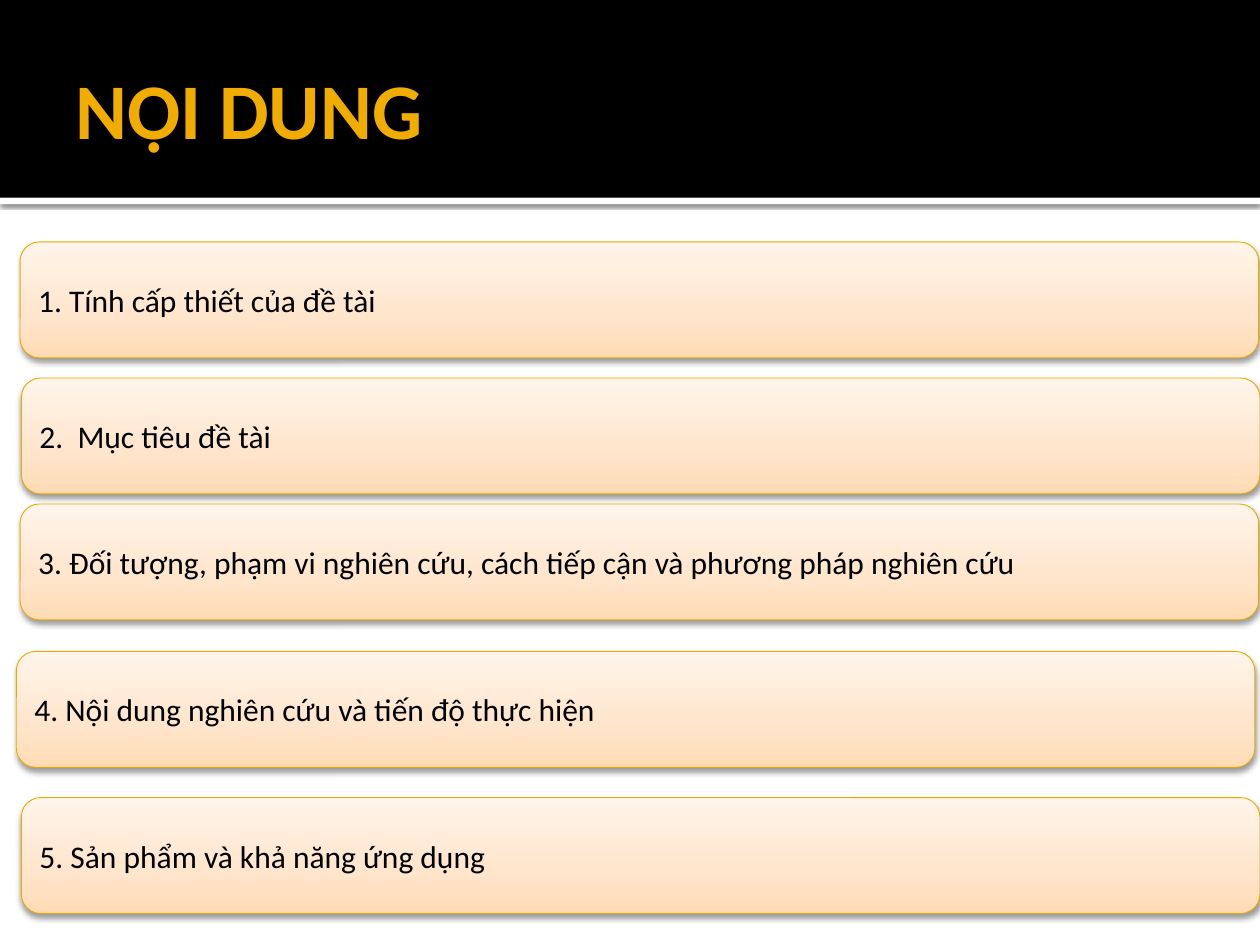
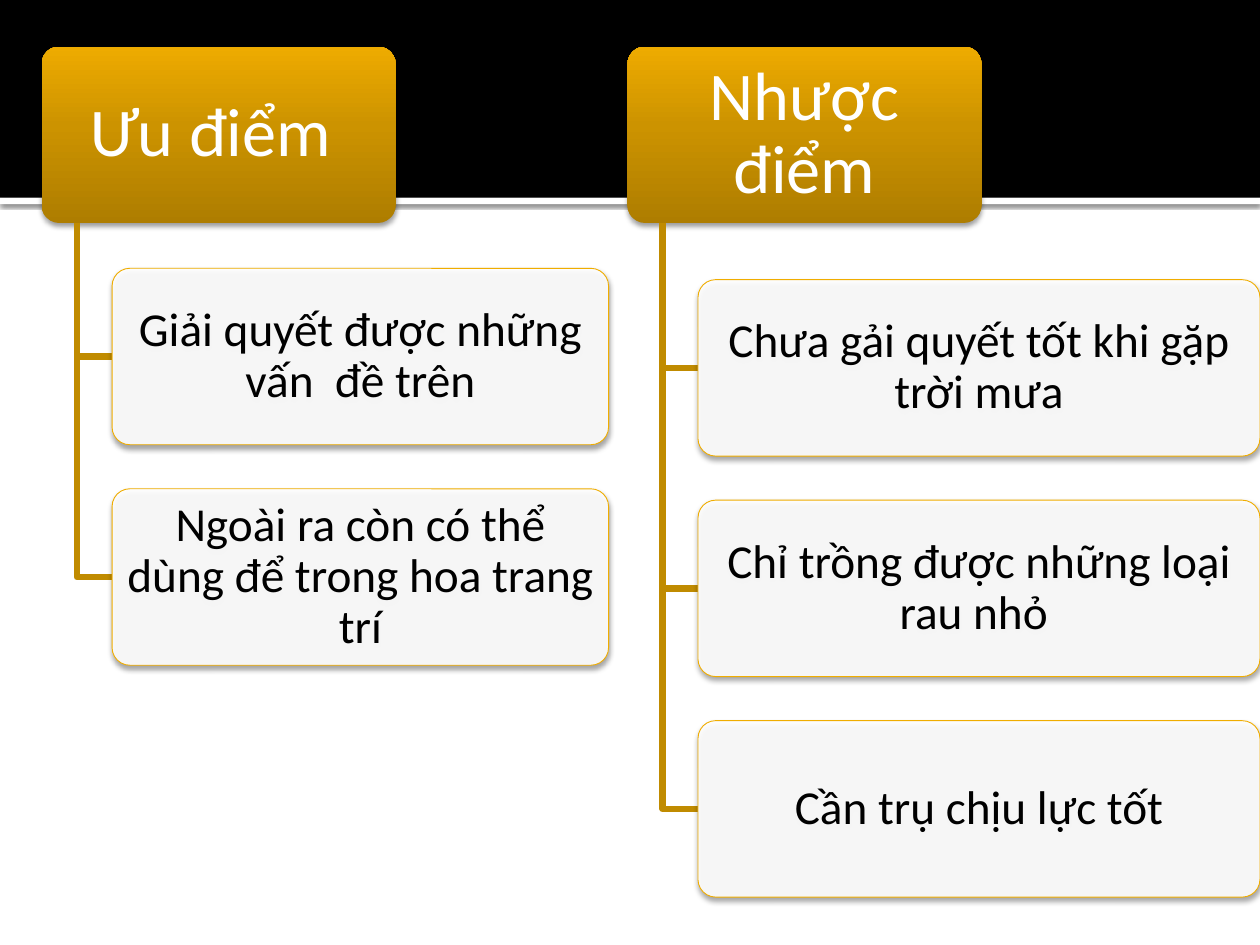
from pptx import Presentation
from pptx import util as u
from pptx.dml.color import RGBColor
from pptx.enum import shapes, text
from pptx.oxml import parse_xml
from pptx.oxml.ns import nsdecls

HUE = {
    "white": "FFFFFF",
    "black": "000000",
    "gold": "F0AD00",
    "rim": "EBA900",
    "link": "C08B00",
}
PEACH = [(0, "FFDBB5"), (35, "FFE5CB"), (100, "FFF5EB")]
AMBER = [(0, "AE7D00"), (55, "CC9300"), (100, "EEAB00")]
FONT = "Calibri"
RECT = shapes.MSO_SHAPE.RECTANGLE
ROUND = shapes.MSO_SHAPE.ROUNDED_RECTANGLE
MID = text.PP_ALIGN.CENTER


def add_box(slide, kind, at, fill, rim=None, shade=None, alpha=100):
    box = slide.shapes.add_shape(kind, *map(u.Inches, at))
    props = box.fill._xPr
    box.fill.solid()
    if isinstance(fill, list):
        stops = "".join(
            f'<a:gs pos="{pos * 1000}"><a:srgbClr val="{hue}"/></a:gs>' for pos, hue in fill
        )
        grad = parse_xml(
            f'<a:gradFill {nsdecls("a")} rotWithShape="1"><a:gsLst>{stops}</a:gsLst>'
            '<a:lin ang="16200000" scaled="0"/></a:gradFill>'
        )
        props.replace(props.solidFill, grad)
    else:
        box.fill.fore_color.rgb = RGBColor.from_string(fill)
        if alpha < 100:
            tone = props.solidFill[0]
            tone.append(parse_xml(f'<a:alpha {nsdecls("a")} val="{alpha * 1000}"/>'))
    if rim:
        box.line.color.rgb = RGBColor.from_string(rim)
        box.line.width = u.Pt(0.5)
    else:
        box.line.fill.background()
    box.shadow.inherit = False
    if shade:
        depth, blur, drop = shade
        props.effectLst.append(parse_xml(
            f'<a:outerShdw {nsdecls("a")} blurRad="{u.Pt(blur)}" dist="{u.Pt(drop)}" '
            f'dir="5400000" rotWithShape="0"><a:srgbClr val="{HUE["black"]}">'
            f'<a:alpha val="{depth * 1000}"/></a:srgbClr></a:outerShdw>'
        ))
    return box


def add_text(box, words, size, hue, inset, align=None, bold=False, space=None):
    frame = box.text_frame
    frame.word_wrap = True
    frame.vertical_anchor = text.MSO_ANCHOR.MIDDLE
    frame.margin_left, frame.margin_top, frame.margin_right, frame.margin_bottom = map(
        u.Inches, inset
    )
    para = frame.paragraphs[0]
    para.text = words
    para.alignment = align or text.PP_ALIGN.LEFT
    para.line_spacing = space
    para.font.name = FONT
    para.font.size = u.Pt(size)
    para.font.bold = bold
    para.font.color.rgb = RGBColor.from_string(hue)


deck = Presentation()
deck.slide_width = u.Inches(10)
deck.slide_height = u.Inches(7.5)
pages = []
for _ in range(2):
    page = deck.slides.add_slide(deck.slide_layouts[6])
    add_box(page, RECT, (0, 1.57, 10, 0.05), HUE["white"], shade=(60, 2.5, 0.8))
    add_box(page, RECT, (0, 0, 10, 1.57), HUE["black"])
    pages.append(page)
agenda, review = pages

title = agenda.shapes.add_textbox(*map(u.Inches, (0.5, 0.17, 9, 1.37)))
add_text(title, "NỘI DUNG", 45, HUE["gold"], (0.1, 0.05, 0.05, 0.05), bold=True)

topics = [
    (0.16, 1.92, "1. Tính cấp thiết của đề tài"),
    (0.17, 3, "2.  Mục tiêu đề tài"),
    (0.16, 4, "3. Đối tượng, phạm vi nghiên cứu, cách tiếp cận và phương pháp nghiên cứu"),
    (0.13, 5.17, "4. Nội dung nghiên cứu và tiến độ thực hiện"),
    (0.17, 6.33, "5. Sản phẩm và khả năng ứng dụng"),
]
for left, top, words in topics:
    bar = add_box(agenda, ROUND, (left, top, 9.83, 0.92), PEACH, HUE["rim"], (38, 3.5, 2))
    add_text(bar, words, 18, HUE["black"], (0.1, 0.05, 0.1, 0.05))

HEAD_TOP, TALL, STEP = 0.37, 1.4, 1.75
sides = [
    (0.33, 2.13, 3.94, "Ưu điểm ", [
        "Giải quyết được những vấn  đề trên",
        "Ngoài ra còn có thể dùng để trong hoa trang trí",
    ]),
    (4.98, 2.22, 4.46, "Nhược điểm", [
        "Chưa gải quyết tốt khi gặp trời mưa",
        "Chỉ trồng được những loại rau nhỏ ",
        "Cần trụ chịu lực tốt",
    ]),
]
for left, first, wide, name, points in sides:
    head = add_box(review, ROUND, (left, HEAD_TOP, 2.81, TALL), AMBER, shade=(38, 3.1, 2))
    head.adjustments[0] = 0.1
    add_text(head, name, 39, HUE["white"], (0.08, 0.05, 0.08, 0.05), MID, space=0.9)
    stem, edge = left + 0.28, left + 0.56
    for row, words in enumerate(points):
        top = first + row * STEP
        bend = top + TALL / 2
        path = review.shapes.build_freeform(u.Inches(stem), u.Inches(HEAD_TOP + TALL))
        path.add_line_segments(
            [(u.Inches(stem), u.Inches(bend)), (u.Inches(edge), u.Inches(bend))], close=False
        )
        link = path.convert_to_shape()
        link.fill.background()
        link.line.color.rgb = RGBColor.from_string(HUE["link"])
        link.line.width = u.Pt(3.78)
        link.shadow.inherit = False
        card = add_box(
            review, ROUND, (edge, top, wide, TALL), HUE["white"], HUE["gold"], (38, 3.1, 2), 90
        )
        card.adjustments[0] = 0.1
        add_text(card, words, 27, HUE["black"], (0.06, 0.04, 0.06, 0.04), MID, space=0.9)

deck.save("out.pptx")
